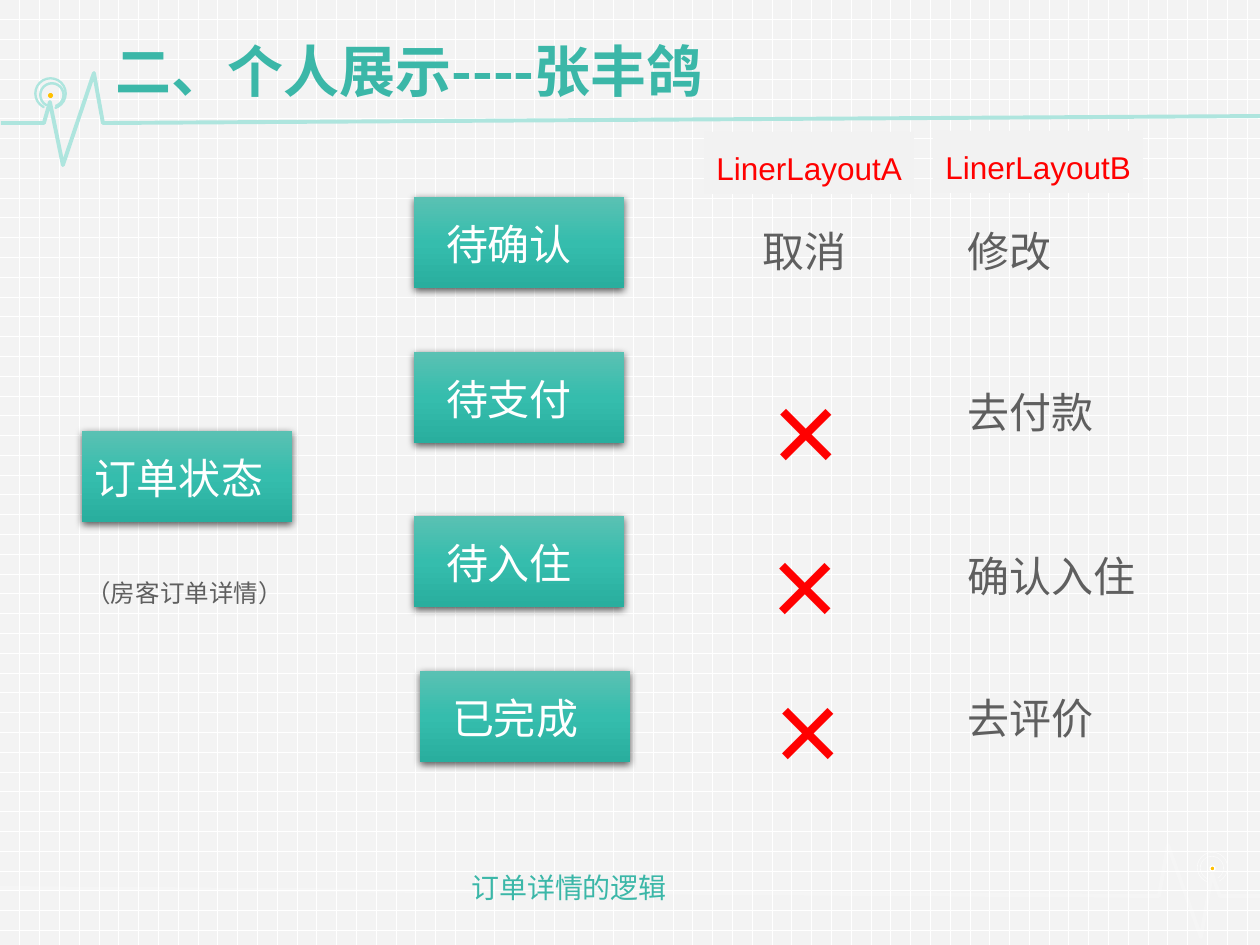
from copy import deepcopy
from pptx import Presentation
from pptx.dml.color import RGBColor
from pptx.enum.dml import MSO_PATTERN
from pptx.enum.shapes import MSO_SHAPE
from pptx.enum.text import MSO_ANCHOR, PP_ALIGN
from pptx.oxml import parse_xml
from pptx.oxml.ns import nsdecls, qn
from pptx.util import Emu, Pt

SCALE = 914400 / 126
COLORS = {
    "white": "FFFFFF", "paper": "F3F3F3", "label": "F2F2F2", "pulse": "AEE5DE",
    "dot": "FFC000", "teal": "3BB7A8", "gray": "5F5F5F", "red": "FF0000",
    "light": "5AC1B3", "middle": "35BDAD", "dark": "29AE9E",
}
LATIN, CJK = "Arial", "Noto Sans CJK SC"


def px(n):
    return Emu(round(n * SCALE))


def rgb(name):
    return RGBColor.from_string(COLORS[name])


class Deck:
    """Holds the style and the current slide, with a method per kind of element."""

    def __init__(self, width, height):
        self.prs = Presentation()
        self.prs.slide_width, self.prs.slide_height = px(width), px(height)
        self.s = self.prs.slides.add_slide(self.prs.slide_layouts[6])

    def alpha(self, fill, percent):
        color = fill._xPr.find(".//" + qn("a:srgbClr"))
        color.append(parse_xml(f'<a:alpha {nsdecls("a")} val="{percent * 1000}"/>'))

    def shape(self, x, y, w, h, fill=None, kind=MSO_SHAPE.RECTANGLE, line=None,
              weight=1, opacity=100, flip=False):
        sp = self.s.shapes.add_shape(kind, px(x), px(y), px(w), px(h))
        sp.shadow.inherit = False
        if fill:
            sp.fill.solid()
            sp.fill.fore_color.rgb = rgb(fill)
            if opacity < 100:
                self.alpha(sp.fill, opacity)
        if line:
            sp.line.color.rgb = rgb(line)
            sp.line.width = Pt(weight)
        else:
            sp.line.fill.background()
        if flip:
            sp._element.spPr.xfrm.set("flipH", "1")
        return sp

    def grid(self, w, h):
        sp = self.shape(0, 0, w, h)
        sp.fill.patterned()
        sp.fill.pattern = MSO_PATTERN.DOTTED_GRID
        sp.fill.fore_color.rgb = rgb("white")
        sp.fill.back_color.rgb = rgb("paper")

    def pulse(self, points, color, opacity=100):
        fb = self.s.shapes.build_freeform(*points[0], scale=SCALE)
        fb.add_line_segments(points[1:], close=False)
        sp = fb.convert_to_shape()
        sp.shadow.inherit = False
        sp.fill.background()
        sp.line.color.rgb = rgb(color)
        sp.line.width = Pt(2.25)
        if opacity < 100:
            self.alpha(sp.line.fill, opacity)

    def ring(self, x, y, size, adjustments, opacity, line=None, flip=False):
        sp = self.shape(x, y, size, size, "white", MSO_SHAPE.BLOCK_ARC, line,
                        opacity=opacity, flip=flip)
        for i, value in enumerate(adjustments):
            sp.adjustments[i] = value

    def add_run(self, sp, text, size, color, font=LATIN, bold=False, spacing=1.3,
                align=PP_ALIGN.LEFT, anchor=MSO_ANCHOR.TOP, wrap=True, inset=None):
        tf = sp.text_frame
        tf.word_wrap = wrap
        tf.vertical_anchor = anchor
        if inset is not None:
            tf.margin_left = px(inset)
        p = tf.paragraphs[0]
        p.alignment = align
        p.line_spacing = spacing
        r = p.add_run()
        r.text = text
        r.font.name = font
        r.font.size = Pt(size)
        r.font.bold = bold
        r.font.color.rgb = rgb(color)
        r._r.get_or_add_rPr().append(
            parse_xml(f'<a:ea {nsdecls("a")} typeface="{CJK}"/>'))

    def text(self, x, y, w, h, text, size, color, **style):
        sp = self.s.shapes.add_textbox(px(x), px(y), px(w), px(h))
        self.add_run(sp, text, size, color, **style)

    def label(self, x, y, text):
        sp = self.shape(x, y, 210, 62, "label")
        self.add_run(sp, text, 18, "red", wrap=False)

    def button(self, x, y, text, inset=32):
        sp = self.shape(x, y, 210, 91)
        sp.fill.gradient()
        sp.fill.gradient_angle = 270
        stops = sp._element.spPr.find(".//" + qn("a:gsLst"))
        stops.insert(1, deepcopy(stops[0]))
        for i, (stop, name) in enumerate(
                zip(sp.fill.gradient_stops, ("light", "middle", "dark"))):
            stop.position = i / 2
            stop.color.rgb = rgb(name)
        sp._element.spPr.find(qn("a:effectLst")).append(parse_xml(
            f'<a:outerShdw {nsdecls("a")} blurRad="57150" dist="19050" '
            'dir="5400000" algn="ctr" rotWithShape="0"><a:srgbClr val="000000">'
            '<a:alpha val="63000"/></a:srgbClr></a:outerShdw>'))
        self.add_run(sp, text, 24, "white", inset=inset)


def main():
    deck = Deck(1260, 945)
    outer, inner = (69.88, 42.68, 0.02), (71.65, 41.7, 0.03)

    deck.grid(1260, 945)
    deck.pulse([(1, 123), (44, 123), (50, 102), (63, 165), (94, 73),
                (103, 123), (1260, 116)], "pulse")
    deck.shape(48, 93, 5, 5, "dot", MSO_SHAPE.OVAL)
    deck.ring(35, 78, 31, outer, 70, "pulse")
    deck.ring(40, 83, 24, inner, 60, "pulse")
    deck.pulse([(1260, 896), (1220, 896), (1212, 874), (1201, 937), (1168, 845),
                (1159, 896), (0, 888)], "white", 19)
    deck.shape(1210, 866, 5, 5, "dot", MSO_SHAPE.OVAL, "white", 0.75, flip=True)
    deck.ring(1197, 852, 31, outer, 70, flip=True)
    deck.ring(1200, 856, 24, inner, 60, flip=True)

    deck.text(103, 25, 727, 86, "二、个人展示----张丰鸽", 32, "teal", font=CJK,
              bold=True, spacing=0.9, anchor=MSO_ANCHOR.BOTTOM)
    deck.text(459, 861, 256, 55, "订单详情的逻辑", 16, "teal", font=CJK,
              spacing=1.1, align=PP_ALIGN.JUSTIFY)

    deck.button(82, 431, "订单状态", inset=13)
    deck.text(74, 563, 222, 50, "（房客订单详情）", 14, "gray")

    for x, y, state in ((414, 197, "待确认"), (414, 352, "待支付"),
                        (414, 516, "待入住"), (420, 671, "已完成")):
        deck.button(x, y, state)

    deck.text(750, 204, 120, 78, "取消", 24, "gray")
    for y, action in ((204, "修改"), (365, "去付款"), (529, "确认入住"),
                      (671, "去评价")):
        deck.text(955, y, 223, 78, action, 24, "gray")
    for x, y in ((760, 310), (759, 464), (762, 609)):
        deck.text(x, y, 94, 193, "×", 66, "red")

    deck.label(704, 132, "LinerLayoutA")
    deck.label(933, 131, "LinerLayoutB")
    deck.prs.save("out.pptx")


if __name__ == "__main__":
    main()
